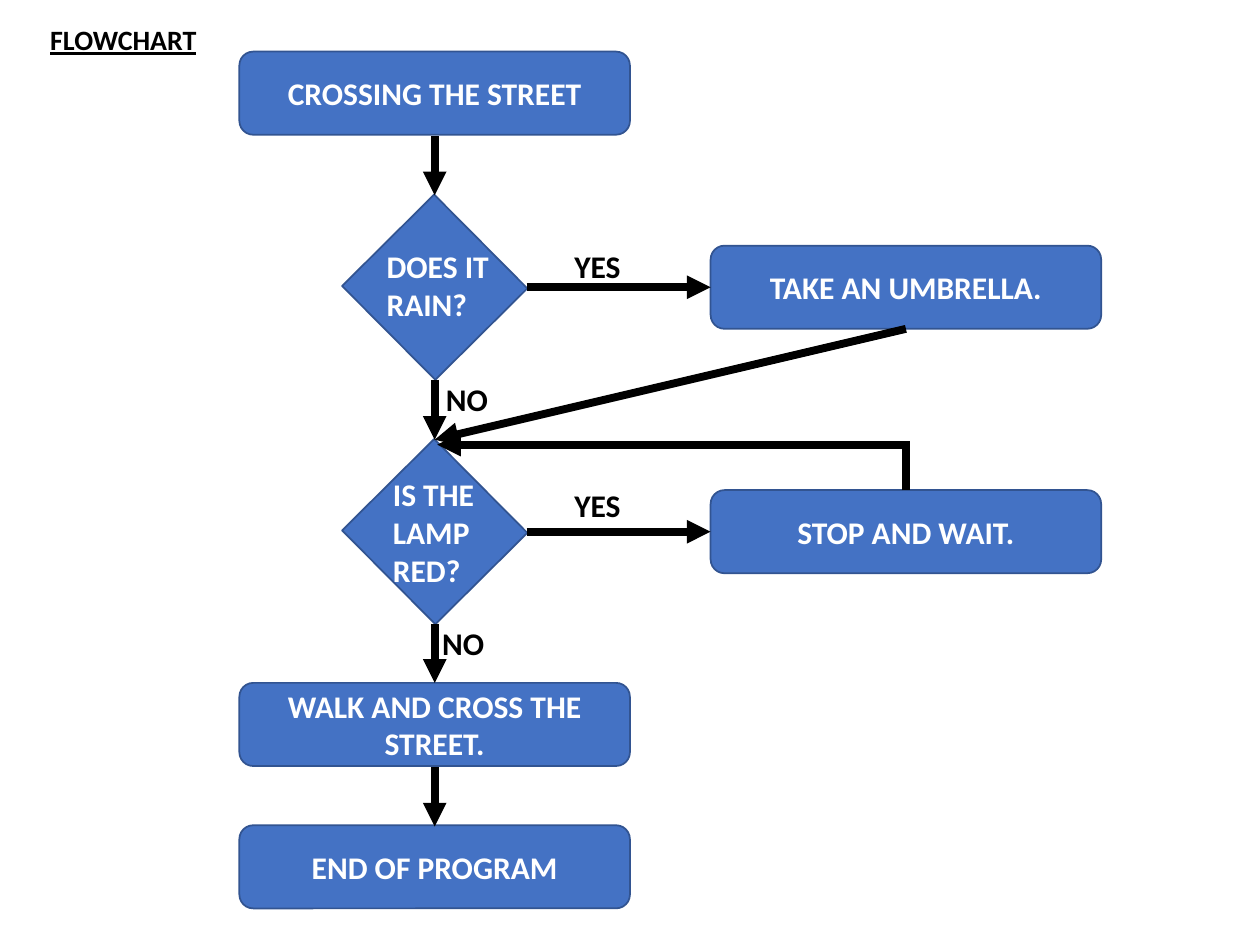
"""Build a flowchart slide about crossing the street."""
import pptx
import pptx.util
import pptx.dml.color
import pptx.enum.shapes
import pptx.enum.text
import pptx.oxml
import pptx.oxml.ns

Inches = pptx.util.Inches
Kind = pptx.enum.shapes.MSO_SHAPE
Line = pptx.enum.shapes.MSO_CONNECTOR
Align = pptx.enum.text.PP_ALIGN
Anchor = pptx.enum.text.MSO_ANCHOR
BLUE = pptx.dml.color.RGBColor(0x44, 0x72, 0xC4)
EDGE = pptx.dml.color.RGBColor(0x32, 0x54, 0x91)
BLACK = pptx.dml.color.RGBColor(0, 0, 0)
WHITE = pptx.dml.color.RGBColor(0xFF, 0xFF, 0xFF)

presentation = pptx.Presentation()
presentation.slide_width, presentation.slide_height = Inches(10), Inches(7.5)
slide = presentation.slides.add_slide(presentation.slide_layouts[6])

LEFT, RIGHT = 3.45, 7.19
RAIN, LAMP = 2.28, 4.22
STEP_WIDTH, STEP_HEIGHT = 3.1, 0.66
SIDE_WIDTH, SIDE_HEIGHT = 1.05, 1.03
ARROW = 0.47


def write(shape, text, color, size=18, align=Align.LEFT, anchor=Anchor.TOP, **extra):
    frame = shape.text_frame
    frame.word_wrap, frame.vertical_anchor = True, anchor
    paragraph = frame.paragraphs[0]
    paragraph.text, paragraph.alignment = text, align
    font = paragraph.runs[0].font
    font.color.rgb = color
    values = {"name": "Calibri", "size": pptx.util.Pt(size), "bold": True, **extra}
    for name, value in values.items():
        setattr(font, name, value)
    return paragraph


def connect(kind, *ends):
    connector = slide.shapes.add_connector(kind, *map(Inches, ends))
    connector.line.color.rgb = BLACK
    connector.line.width = pptx.util.Pt(4.5)
    outline = connector.line._get_or_add_ln()
    for tag, values in (("a:miter", {"lim": "800000"}), ("a:tailEnd", {"type": "triangle"})):
        element = pptx.oxml.parse_xml(f"<{tag} {pptx.oxml.ns.nsdecls('a')}/>")
        for name, value in values.items():
            element.set(name, value)
        outline.append(element)
    effects = pptx.oxml.parse_xml(f"<a:effectLst {pptx.oxml.ns.nsdecls('a')}/>")
    connector._element.spPr.append(effects)
    return connector


title = slide.shapes.add_textbox(Inches(0.3), Inches(0.15), Inches(1.38), Inches(0.36))
write(title, "FLOWCHART", BLACK, 16, anchor=Anchor.MIDDLE, underline=True).line_spacing = 0.9

steps = [
    (LEFT, 0.74, "CROSSING THE STREET"),
    (LEFT, 5.75, "WALK AND CROSS THE STREET."),
    (LEFT, 6.88, "END OF PROGRAM"),
    (RIGHT, RAIN, "TAKE AN UMBRELLA."),
    (RIGHT, LAMP, "STOP AND WAIT."),
]
nodes = [(Kind.RECTANGLE, LEFT, y, SIDE_WIDTH, SIDE_HEIGHT, 45.2, "") for y in (RAIN, LAMP)]
nodes += [(Kind.ROUNDED_RECTANGLE, x, y, STEP_WIDTH, STEP_HEIGHT, 0, text) for x, y, text in steps]
for kind, x, y, width, height, rotation, text in nodes:
    box = (x - width / 2, y - height / 2, width, height)
    shape = slide.shapes.add_shape(kind, *map(Inches, box))
    shape.shadow.inherit = False
    shape.rotation = rotation
    shape.fill.solid()
    shape.fill.fore_color.rgb = BLUE
    shape.line.color.rgb = EDGE
    shape.line.width = pptx.util.Pt(1)
    if text:
        write(shape, text, WHITE, align=Align.CENTER, anchor=Anchor.MIDDLE)

for top in (1.08, 3.02, 4.95, 6.09):
    connect(Line.STRAIGHT, LEFT, top, LEFT, top + ARROW)
for row in (RAIN, LAMP):
    connect(Line.STRAIGHT, 4.18, row, RIGHT - STEP_WIDTH / 2, row)
connect(Line.STRAIGHT, RIGHT, RAIN + STEP_HEIGHT / 2, LEFT, 3.49)

wait_loop = connect(Line.ELBOW, 5.15, 5.57, 5.51, 1.85)
properties = wait_loop._element.spPr
properties.find(pptx.oxml.ns.qn("a:xfrm")).set("rot", str(270 * 60000))
properties.find(pptx.oxml.ns.qn("a:prstGeom")).set("prst", "bentConnector2")

labels = [
    (4.46, 1.91, 0.91, 0.4, "YES", BLACK),
    (4.46, 3.81, 0.91, 0.4, "YES", BLACK),
    (3.41, 4.9, 0.91, 0.4, "NO", BLACK),
    (3.44, 2.97, 0.91, 0.4, "NO", BLACK),
    (2.97, 1.91, 1.3, 0.71, "DOES IT RAIN?", WHITE),
    (3.02, 3.72, 1.3, 1.01, "IS THE LAMP RED?", WHITE),
]
for *box, text, color in labels:
    write(slide.shapes.add_textbox(*map(Inches, box)), text, color)

presentation.save("out.pptx")
